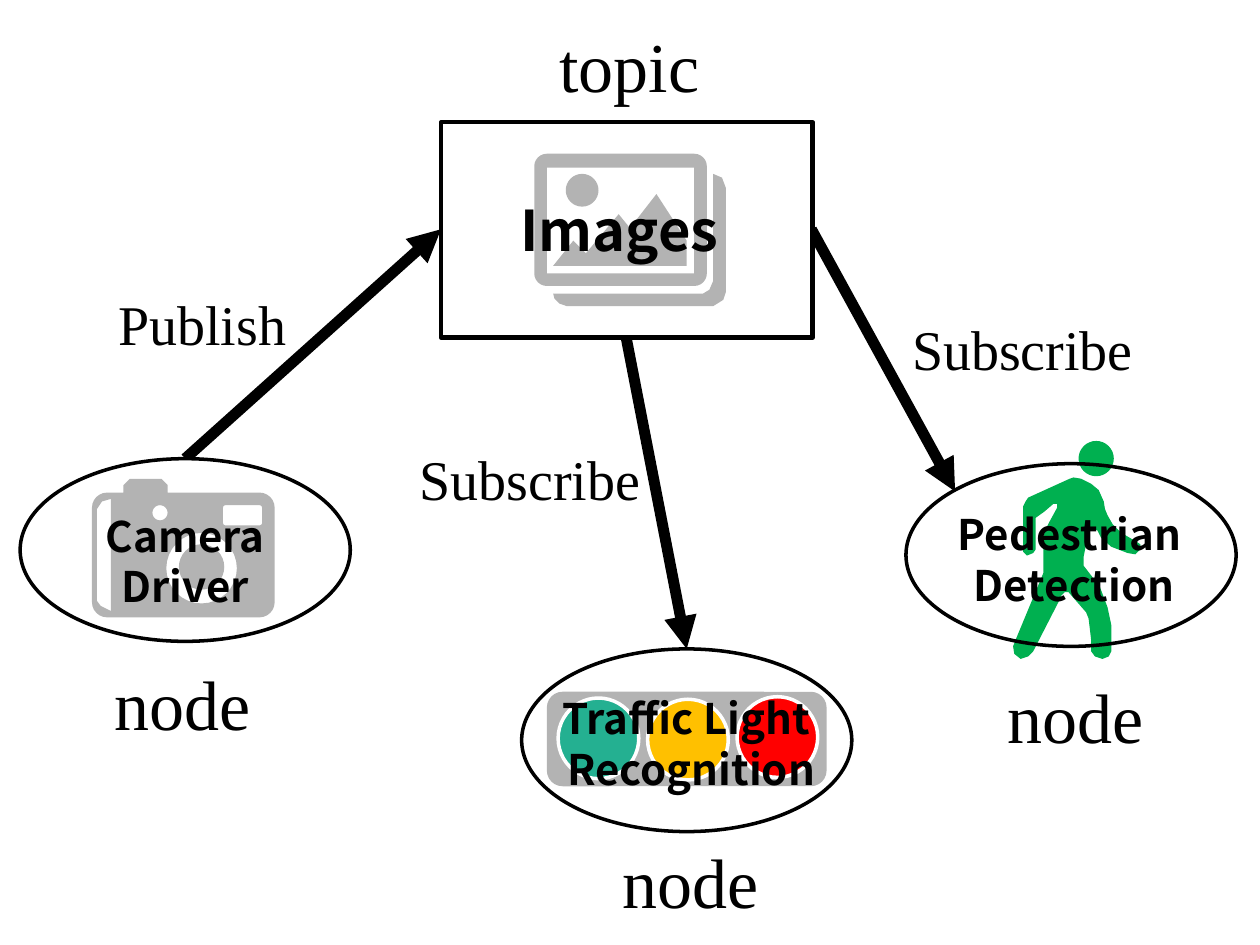
from math import cos, pi, sin

from lxml import etree
from pptx import Presentation
from pptx.dml.color import RGBColor
from pptx.enum.shapes import MSO_CONNECTOR, MSO_SHAPE
from pptx.enum.text import MSO_AUTO_SIZE, PP_ALIGN
from pptx.oxml.ns import qn
from pptx.util import Inches, Pt

RECT, OVAL = MSO_SHAPE.RECTANGLE, MSO_SHAPE.OVAL
PANEL = MSO_SHAPE.FLOWCHART_ALTERNATE_PROCESS
STRAIGHT = MSO_CONNECTOR.STRAIGHT
FIT = MSO_AUTO_SIZE.SHAPE_TO_FIT_TEXT
LEFT, CENTER = PP_ALIGN.LEFT, PP_ALIGN.CENTER
SERIF, SANS = "Times New Roman", "Noto Sans CJK JP"
BLACK, WHITE, GRAY = "000000", "FFFFFF", "B3B3B3"
NODE_W, NODE_H = 2.62, 1.45


def rgb(value):
    return RGBColor.from_string(value)


def arc(cx, cy, r, start=0, sweep=360, steps=32):
    angles = [(start + sweep * i / steps) * pi / 180 for i in range(steps + 1)]
    return [(cx + r * cos(a), cy + r * sin(a)) for a in angles]


def rounded(x, y, w, h, r):
    corners = [(x + r, y + r, 180), (x + w - r, y + r, 270),
               (x + w - r, y + h - r, 0), (x + r, y + h - r, 90)]
    return [p for cx, cy, a in corners for p in arc(cx, cy, r, a, 90, 6)]


def box(x, y, w, h):
    return [(x, y), (x + w, y), (x + w, y + h), (x, y + h)]


class Diagram:
    def __init__(self, slide):
        self.shapes = slide.shapes

    def paint(self, s, fill, line, width):
        s.shadow.inherit = False
        if fill:
            s.fill.solid()
            s.fill.fore_color.rgb = rgb(fill)
        else:
            s.fill.background()
        if line:
            s.line.color.rgb = rgb(line)
            s.line.width = Pt(width)
        else:
            s.line.fill.background()

    def shape(self, kind, x, y, w, h, fill=None, line=None, width=2):
        s = self.shapes.add_shape(kind, Inches(x), Inches(y), Inches(w), Inches(h))
        self.paint(s, fill, line, width)

    def node(self, x, y, fill=None):
        self.shape(OVAL, x, y, NODE_W, NODE_H, fill, BLACK)

    def icon(self, contours, fill):
        emu = [[(Inches(x), Inches(y)) for x, y in c] for c in contours]
        builder = self.shapes.build_freeform(*emu[0][0], scale=1.0)
        builder.add_line_segments(emu[0][1:], close=True)
        for c in emu[1:]:
            builder.move_to(*c[0])
            builder.add_line_segments(c[1:], close=True)
        self.paint(builder.convert_to_shape(), fill, None, 0)

    def text(self, text, x, y, w, h, size, font=SERIF, bold=False, align=LEFT):
        s = self.shapes.add_textbox(Inches(x), Inches(y), Inches(w), Inches(h))
        tf = s.text_frame
        tf.text = text
        tf.word_wrap = False
        tf.auto_size = FIT
        for p in tf.paragraphs:
            p.alignment = align
            for r in p.runs:
                r.font.size = Pt(size)
                r.font.name = font
                r.font.bold = bold
                r.font.color.rgb = rgb(BLACK)
                ea = etree.SubElement(r.font._element, qn("a:ea"))
                ea.set("typeface", font)

    def title(self, text, x, y, w, h, size=24):
        self.text(text, x, y, w, h, size, SANS, True, CENTER)

    def arrow(self, x1, y1, x2, y2):
        s = self.shapes.add_connector(STRAIGHT, Inches(x1), Inches(y1),
                                      Inches(x2), Inches(y2))
        s.line.color.rgb = rgb(BLACK)
        s.line.width = Pt(6.25)
        ln = s.line._get_or_add_ln()
        etree.SubElement(ln, qn("a:tailEnd")).set("type", "triangle")
        etree.SubElement(s._element.spPr, qn("a:effectLst"))


WALKER = [
    (8.52, 3.79), (8.58, 3.8), (8.66, 3.84), (8.72, 3.89), (8.76, 3.98),
    (8.77, 4.04), (8.79, 4.09), (8.83, 4.16), (8.9, 4.23), (9.02, 4.3),
    (9.05, 4.32), (9.05, 4.36), (9.01, 4.4), (8.95, 4.39), (8.82, 4.34),
    (8.74, 4.27), (8.71, 4.21), (8.68, 4.2), (8.64, 4.22), (8.6, 4.42),
    (8.6, 4.49), (8.67, 4.58), (8.73, 4.66), (8.79, 4.82), (8.82, 4.96),
    (8.82, 5.17), (8.8, 5.21), (8.75, 5.23), (8.69, 5.21), (8.66, 5.17),
    (8.66, 5.08), (8.64, 4.91), (8.62, 4.86), (8.48, 4.7), (8.45, 4.7),
    (8.42, 4.73), (8.4, 4.78), (8.2, 5.17), (8.16, 5.21), (8.1, 5.23),
    (8.05, 5.19), (8.04, 5.13), (8.06, 5.08), (8.28, 4.55), (8.28, 4.3),
    (8.29, 4.22), (8.33, 4.14), (8.39, 4.03), (8.39, 4), (8.36, 4),
    (8.29, 4.06), (8.22, 4.11), (8.22, 4.36), (8.2, 4.39), (8.15, 4.41),
    (8.12, 4.38), (8.12, 4.02), (8.14, 3.98), (8.16, 3.95), (8.49, 3.8)]
PEDESTRIAN = [WALKER, arc(8.7, 3.64, 0.14)]

CAMERA = [
    rounded(0.73, 3.91, 1.45, 0.99, 0.12),
    [(0.98, 3.91), (0.98, 3.85), (1.03, 3.8), (1.28, 3.8), (1.33, 3.85), (1.33, 3.91)],
    [(0.88, 3.96), (0.81, 3.98), (0.77, 4.04), (0.77, 4.77), (0.8, 4.81), (0.88, 4.85)],
    arc(1.27, 4.07, 0.06),
    rounded(1.77, 4.01, 0.31, 0.16, 0.02),
    arc(1.6, 4.51, 0.28),
    arc(1.6, 4.5, 0.18)]

PHOTOS = [
    rounded(4.24, 1.22, 1.37, 1.05, 0.1),
    box(4.34, 1.33, 1.17, 0.84),
    arc(4.62, 1.51, 0.13),
    [(5.21, 1.54), (5.45, 1.91), (5.45, 2.11), (4.39, 2.11), (4.55, 1.91),
     (4.65, 2.01), (4.91, 1.7), (5, 1.81)],
    [(5.66, 1.38), (5.73, 1.41), (5.76, 1.49), (5.76, 2.32), (5.74, 2.38),
     (5.66, 2.43), (4.5, 2.43), (4.44, 2.41), (4.4, 2.37), (4.39, 2.33),
     (5.58, 2.33), (5.63, 2.3), (5.66, 2.23)]]

prs = Presentation()
prs.slide_width, prs.slide_height = Inches(10), Inches(7.5)
d = Diagram(prs.slides.add_slide(prs.slide_layouts[6]))

d.shape(PANEL, 4.34, 5.49, 2.22, 0.75, GRAY)
for i, (y, color) in enumerate([(5.54, "24B091"), (5.55, "FFC000"), (5.53, "FF0000")]):
    d.shape(OVAL, 4.43 + 0.71 * i, y, 0.64, 0.64, color, WHITE)
d.node(4.14, 5.15)
d.title("Traffic Light \nRecognition", 4.25, 5.45, 2.47, 0.91)

for x, y in [(4.84, 6.61), (0.81, 5.19), (7.9, 5.3)]:
    d.text("node", x, y, 1.29, 0.77, 40)
for label, x, y, w in [("Subscribe", 3.23, 3.48, 1.97), ("Publish", 0.84, 2.25, 1.55),
                       ("Subscribe", 7.14, 2.45, 1.97)]:
    d.text(label, x, y, w, 0.64, 32)
d.text("topic", 4.34, 0.13, 1.32, 0.77, 40)

for ends in [(1.47, 3.64, 3.5, 1.82), (6.44, 1.82, 7.58, 3.9), (4.97, 2.68, 5.45, 5.15)]:
    d.arrow(*ends)

d.icon(PEDESTRIAN, "00B050")
d.node(7.19, 3.68)
d.title("Pedestrian \nDetection", 7.42, 3.99, 2.21, 0.91)

d.node(0.16, 3.64, WHITE)
d.icon(CAMERA, GRAY)
d.title("Camera\nDriver", 0.69, 4, 1.56, 0.91)

d.shape(RECT, 3.5, 0.97, 2.95, 1.71, WHITE, BLACK, 2.5)
d.icon(PHOTOS, GRAY)
d.title("Images", 3.92, 1.5, 1.99, 0.64, 32)

prs.save("out.pptx")
